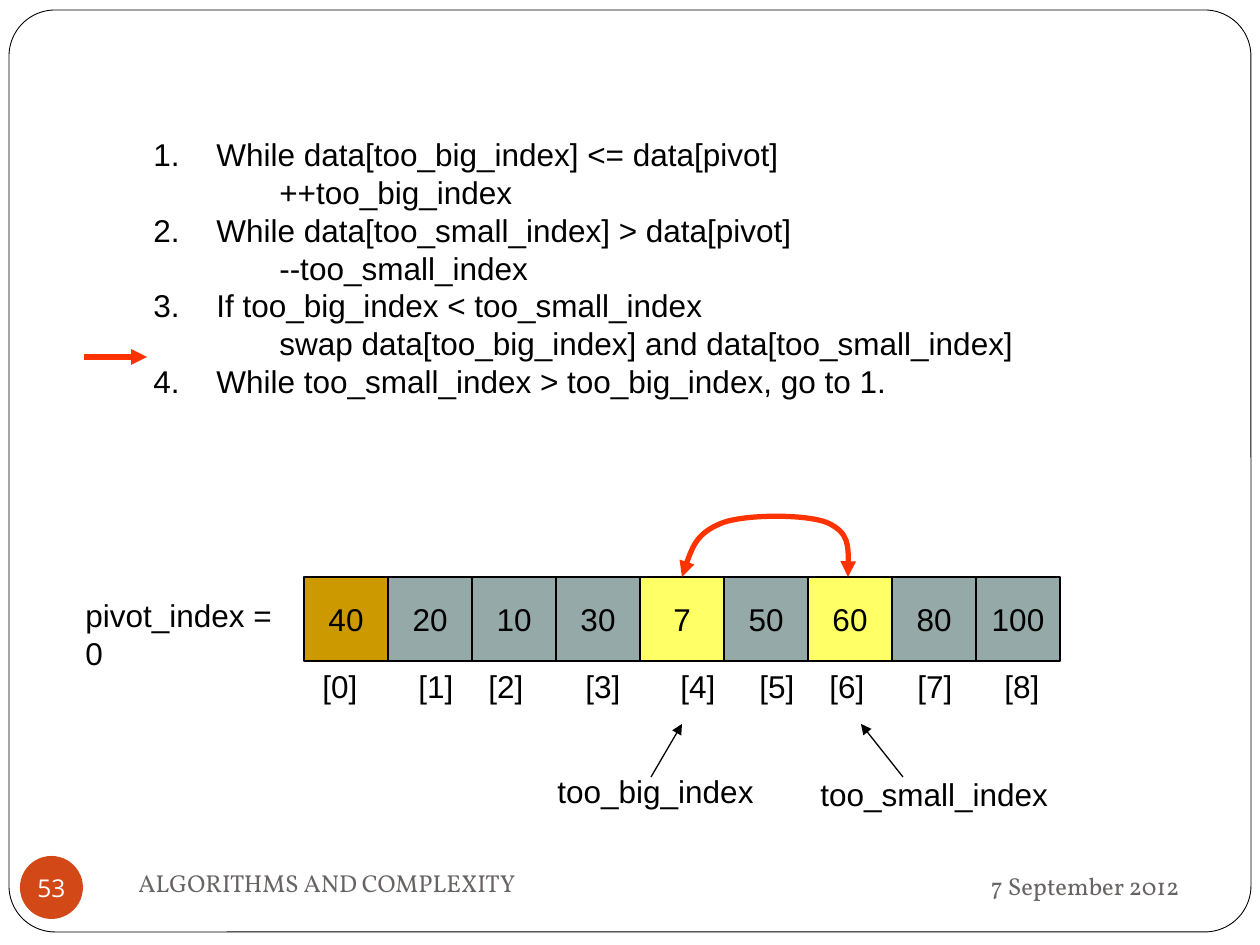
from lxml.etree import SubElement
from pptx import Presentation
from pptx.dml.color import RGBColor
from pptx.enum.shapes import MSO_CONNECTOR, MSO_SHAPE
from pptx.enum.text import MSO_ANCHOR, PP_ALIGN
from pptx.oxml.ns import qn
from pptx.util import Pt

SCALE = 914400 / 126
COLORS = {
    "black": "000000", "white": "FFFFFF", "pivot": "CC9900", "cell": "96A9A9",
    "swap": "FFFF66", "red": "FF3300", "badge": "D34817", "footer": "696464",
}
STEPS = [
    ("While data[too_big_index] <= data[pivot]", "++too_big_index"),
    ("While data[too_small_index] > data[pivot]", "--too_small_index"),
    ("If too_big_index < too_small_index",
     "swap data[too_big_index] and data[too_small_index]"),
    ("While too_small_index > too_big_index, go to 1.", None),
]
VALUES = [40, 20, 10, 30, 7, 50, 60, 80, 100]
CELL_FILLS = {0: "pivot", 4: "swap", 6: "swap"}
INDEX_TABS = [96, 166, 263, 358, 437, 507, 595, 682]


def px(length):
    return round(length * SCALE)


def color(name):
    return RGBColor.from_string(COLORS[name])


def style_para(para, size=18, font="Arial", ink="black", align=PP_ALIGN.LEFT):
    para.font.size = Pt(size)
    para.font.name = font
    para.font.color.rgb = color(ink)
    para.alignment = align


def add_text(page, box, text, anchor=MSO_ANCHOR.TOP, **style):
    frame = page.shapes.add_textbox(*map(px, box)).text_frame
    frame.word_wrap = True
    frame.vertical_anchor = anchor
    para = frame.paragraphs[0]
    para.text = text
    style_para(para, **style)
    return frame


def add_block(page, kind, box, fill, line_width=None, text="", **style):
    block = page.shapes.add_shape(kind, *map(px, box))
    block.shadow.inherit = False
    block.fill.solid()
    block.fill.fore_color.rgb = color(fill)
    if line_width:
        block.line.color.rgb = color("black")
        block.line.width = Pt(line_width)
    else:
        block.line.fill.background()
    if text:
        frame = block.text_frame
        frame.word_wrap = False
        frame.vertical_anchor = MSO_ANCHOR.MIDDLE
        frame.margin_left = frame.margin_right = 0
        frame.margin_top = frame.margin_bottom = 0
        frame.paragraphs[0].text = text
        style_para(frame.paragraphs[0], align=PP_ALIGN.CENTER, **style)
    return block


def style_arrow(arrow, ink, width, ends=("tailEnd",)):
    arrow.line.color.rgb = color(ink)
    arrow.line.width = Pt(width)
    outline = arrow.line._get_or_add_ln()
    for end in ends:
        SubElement(outline, qn(f"a:{end}"), type="triangle")


def add_arrow(page, start, finish, ink="black", width=0.75):
    arrow = page.shapes.add_connector(
        MSO_CONNECTOR.STRAIGHT, *map(px, start + finish))
    style_arrow(arrow, ink, width)
    SubElement(arrow._element.spPr, qn("a:effectLst"))


def add_steps(page, box):
    left, top, _, _ = box
    frame = add_text(page, box, STEPS[0][0])
    for number, (step, action) in enumerate(STEPS):
        para = frame.add_paragraph() if number else frame.paragraphs[0]
        para.text = step
        style_para(para)
        props = para._p.get_or_add_pPr()
        props.set("marL", str(px(63)))
        props.set("indent", str(-px(63)))
        SubElement(props, qn("a:buFontTx"))
        SubElement(props, qn("a:buAutoNum"), type="arabicPeriod")
        props.append(props.find(qn("a:defRPr")))
        if action:
            para = frame.add_paragraph()
            para.text = action
            para.level = 1
            style_para(para)
            para._p.get_or_add_pPr().set("marL", str(px(126)))
            para._p.get_or_add_pPr().set("indent", "0")
    add_arrow(page, (left - 57, top + 228), (left + 6, top + 228), "red", 3)


def add_swap_curve(page, left, top):
    points = [(7, -23), (15, -44), (40, -54), (64, -63), (125, -63),
              (146, -54), (167, -44), (167, -23), (166, 0)]
    builder = page.shapes.build_freeform(px(left), px(top))
    builder.add_line_segments(
        [(px(left + x), px(top + y)) for x, y in points], close=False)
    curve = builder.convert_to_shape()
    curve.shadow.inherit = False
    curve.fill.background()
    style_arrow(curve, "red", 3, ("headEnd", "tailEnd"))
    lines = curve._element.findall(f".//{qn('a:lnTo')}")
    for first in range(0, len(lines), 3):
        bend = SubElement(lines[first].getparent(), qn("a:cubicBezTo"))
        for line in lines[first:first + 3]:
            bend.append(line[0])
            line.getparent().remove(line)


def add_array(page, box):
    left, top, width, height = box
    cell = width // len(VALUES)
    for index, value in enumerate(VALUES):
        add_block(page, MSO_SHAPE.RECTANGLE,
                  (left + index * cell, top, cell, height),
                  CELL_FILLS.get(index, "cell"), 0.75, str(value))
    add_text(page, (left - 231, top + 13, 225, 50), "pivot_index = 0")
    labels = "\t".join(f"[{index}]" for index in range(len(VALUES)))
    frame = add_text(page, (left + 6, top + height, 760, 50), labels)
    props = frame.paragraphs[0]._p.get_or_add_pPr()
    stops = SubElement(props, qn("a:tabLst"))
    for stop in INDEX_TABS:
        SubElement(stops, qn("a:tab"), pos=str(px(stop)), algn="l")
    props.append(props.find(qn("a:defRPr")))
    add_text(page, (left + 241, top + 189, 399, 50), "too_big_index")
    add_text(page, (left + 504, top + 192, 294, 50), "too_small_index")
    add_arrow(page, (left + 599, top + 200), (left + 557, top + 147))
    add_arrow(page, (left + 347, top + 200), (left + 378, top + 147))
    add_swap_curve(page, left + 378, top)


def add_footer(page, box):
    left, top, width, height = box
    style = {"size": 14, "font": "Vollkorn", "ink": "footer"}
    add_text(page, (left + width - 341, top + 2, 341, height + 2),
             "7 September 2012", MSO_ANCHOR.MIDDLE,
             align=PP_ALIGN.RIGHT, **style)
    add_block(page, MSO_SHAPE.OVAL, (left, top + 5, 63, 63), "badge",
              text="53", size=14, font="Open Sans", ink="white")
    add_text(page, (left + 106, top, 546, height),
             "ALGORITHMS AND COMPLEXITY", MSO_ANCHOR.MIDDLE, **style)


def main():
    deck = Presentation()
    deck.slide_width, deck.slide_height = px(1260), px(945)
    page = deck.slides.add_slide(deck.slide_layouts[6])
    border = add_block(page, MSO_SHAPE.ROUNDED_RECTANGLE,
                       (9, 10, 1242, 922), "white", 0.5)
    border.adjustments[0] = 0.05
    add_steps(page, (141, 129, 1047, 515))
    add_array(page, (304, 577, 756, 84))
    add_footer(page, (20, 851, 1172, 63))
    deck.save("out.pptx")


if __name__ == "__main__":
    main()
